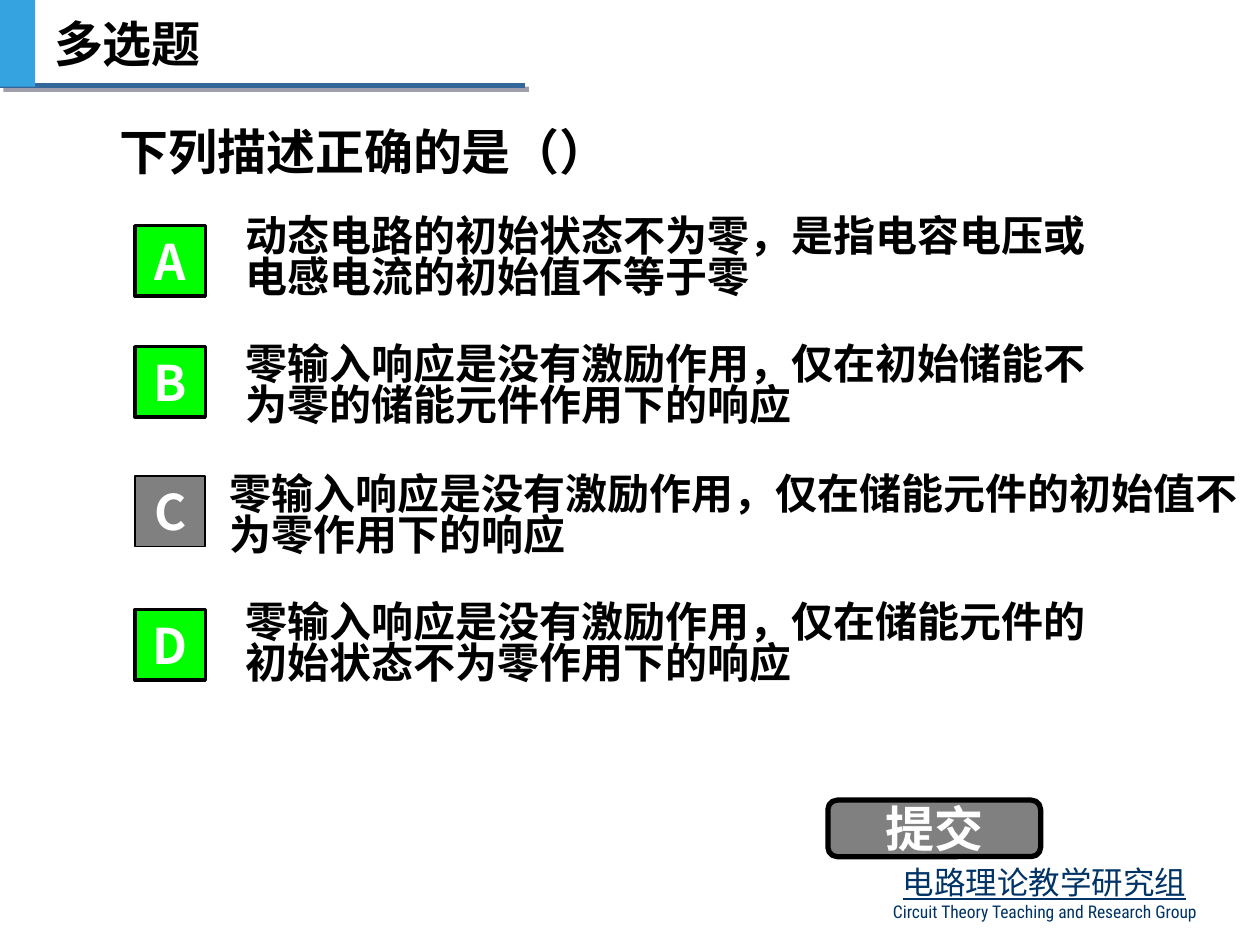
from lxml.etree import SubElement
from pptx import Presentation
from pptx.dml.color import RGBColor
from pptx.enum.shapes import MSO_CONNECTOR, MSO_SHAPE
from pptx.enum.text import MSO_ANCHOR, PP_ALIGN
from pptx.oxml.ns import qn
from pptx.util import Cm, Pt

COLORS = {
    "text": "000000",
    "label": "FFFFFF",
    "correct": "00FF00",
    "neutral": "808080",
    "accent": "36A3E1",
    "rule": "336699",
    "rule_shadow": "3E3E5C",
    "footer": "003366",
}
CJK_FONT = "Noto Sans CJK SC"
LATIN_FONT = "Roboto Condensed"

OPTIONS = [
    ("A", "动态电路的初始状态不为零，是指电容电压或电感电流的初始值不等于零",
     "correct", 2, 4.55, (4.7, 4.34, 17.78, 1.78)),
    ("B", "零输入响应是没有激励作用，仅在初始储能不为零的储能元件作用下的响应",
     "correct", 2, 6.99, (4.7, 6.93, 17.78, 1.78)),
    ("C", "零输入响应是没有激励作用，仅在储能元件的初始值不为零作用下的响应",
     "neutral", 1, 9.6, (4.37, 9.55, 21.26, 1.78)),
    ("D", "零输入响应是没有激励作用，仅在储能元件的初始状态不为零作用下的响应",
     "correct", 2, 12.29, (4.7, 12.12, 17.78, 1.8)),
]


def rgb(key):
    """Return the palette colour for a key."""
    return RGBColor.from_string(COLORS[key])


def add_run(paragraph, text, size, color, bold=False, font=CJK_FONT):
    """Append a run whose Latin and East Asian fonts match."""
    run = paragraph.add_run()
    run.text = text
    run.font.size = Pt(size)
    run.font.bold = bold
    run.font.color.rgb = rgb(color)
    run.font.name = font
    SubElement(run.font._element, qn("a:ea"), typeface=font)
    return run


def add_text(shapes, box, text, size, wrap=True, spacing=None):
    """Add a bold, vertically centred text box."""
    frame = shapes.add_textbox(*map(Cm, box)).text_frame
    frame.word_wrap = wrap
    frame.vertical_anchor = MSO_ANCHOR.MIDDLE
    paragraph = frame.paragraphs[0]
    paragraph.line_spacing = spacing
    add_run(paragraph, text, size, "text", bold=True)


def add_block(shapes, kind, box, fill, border=None, label=None):
    """Add a filled shape with an optional border and centred label."""
    block = shapes.add_shape(kind, *map(Cm, box))
    block.shadow.inherit = False
    block.fill.solid()
    block.fill.fore_color.rgb = rgb(fill)
    if border:
        block.line.color.rgb = rgb("text")
        block.line.width = Pt(border)
    else:
        block.line.fill.background()
    if label:
        frame = block.text_frame
        frame.word_wrap = False
        frame.vertical_anchor = MSO_ANCHOR.MIDDLE
        frame.paragraphs[0].alignment = PP_ALIGN.CENTER
        add_run(frame.paragraphs[0], label, 28, "label", bold=True)


def add_header_rule(shapes):
    """Add the header line with its offset shadow."""
    rule = shapes.add_connector(
        MSO_CONNECTOR.STRAIGHT, Cm(0), Cm(1.73), Cm(10.59), Cm(1.73))
    rule.line.color.rgb = rgb("rule")
    rule.line.width = Pt(3)
    effects = SubElement(rule._element.spPr, qn("a:effectLst"))
    shadow = SubElement(effects, qn("a:outerShdw"), blurRad="0",
                        dist=str(Pt(2.8)), dir=str(45 * 60000),
                        algn="ctr", rotWithShape="0")
    tint = SubElement(shadow, qn("a:srgbClr"), val=COLORS["rule_shadow"])
    SubElement(tint, qn("a:alpha"), val="50000")


def add_footer(shapes):
    """Add the two-line name of the teaching group."""
    frame = shapes.add_textbox(
        Cm(17.15), Cm(17.35), Cm(7.82), Cm(1.45)).text_frame
    frame.word_wrap = True
    chinese, english = frame.paragraphs[0], frame.add_paragraph()
    chinese.alignment = english.alignment = PP_ALIGN.CENTER
    chinese.line_spacing = 0.9
    group_name = add_run(chinese, "电路理论教学研究组", 18, "footer")
    group_name.font.underline = True
    add_run(english, "Circuit Theory Teaching and Research Group", 10,
            "footer", font=LATIN_FONT)


def add_title(shapes):
    """Add the grouped accent bar and question type."""
    title = shapes.add_group_shape().shapes
    add_block(title, MSO_SHAPE.RECTANGLE, (0, 0, 0.71, 1.75), "accent")
    add_text(title, (0.84, 0, 3.53, 1.75), "多选题", 28, wrap=False)


def main():
    """Build and save the multiple-choice slide."""
    deck = Presentation()
    deck.slide_width, deck.slide_height = Cm(25.4), Cm(19.05)
    shapes = deck.slides.add_slide(deck.slide_layouts[6]).shapes
    add_footer(shapes)
    add_header_rule(shapes)
    add_text(shapes, (2.16, 1.88, 20.32, 2.34), "下列描述正确的是（）", 28)
    for letter, answer, fill, border, top, answer_box in OPTIONS:
        add_text(shapes, answer_box, answer, 24, spacing=0.82)
        add_block(shapes, MSO_SHAPE.RECTANGLE, (2.72, top, 1.42, 1.42),
                  fill, border, letter)
    add_block(shapes, MSO_SHAPE.ROUNDED_RECTANGLE,
              (16.69, 16.13, 4.29, 1.14), "neutral", 3, "提交")
    add_title(shapes)
    deck.save("out.pptx")


if __name__ == "__main__":
    main()
